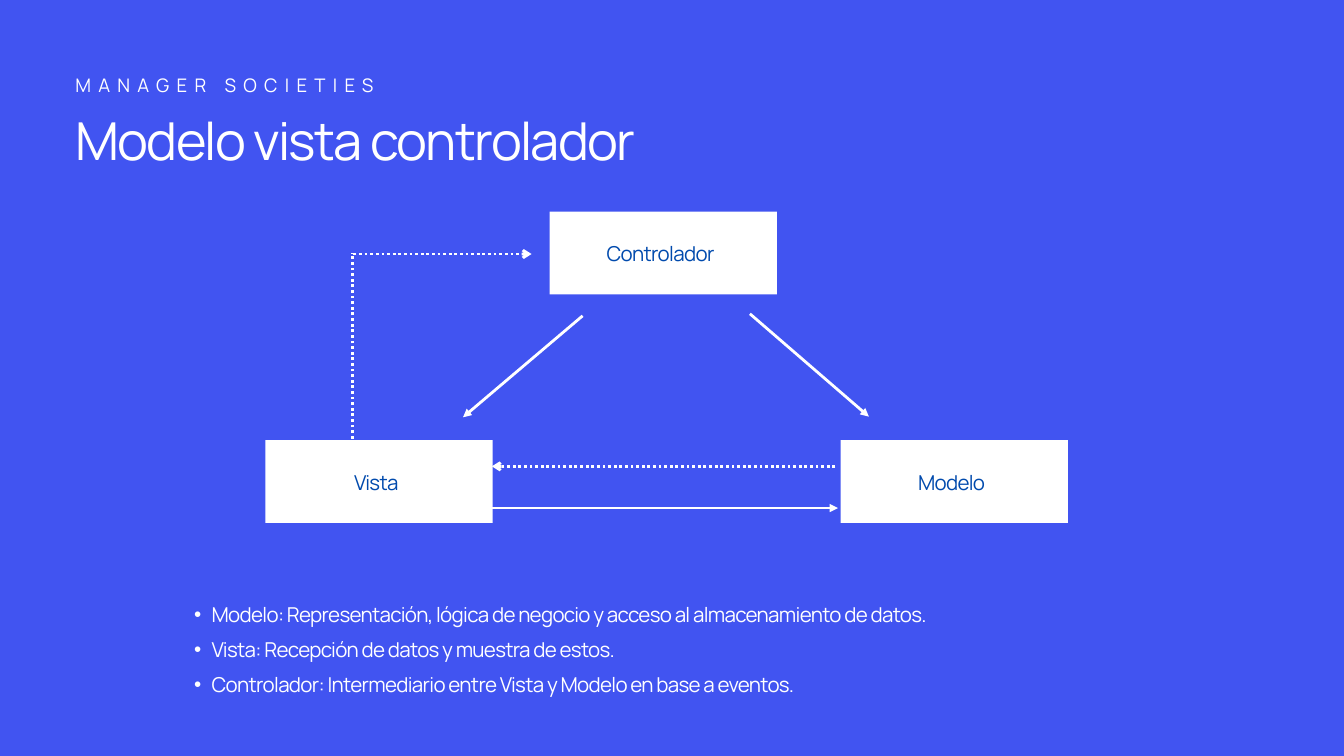
from lxml.etree import SubElement
from pptx import Presentation
from pptx.dml.color import RGBColor
from pptx.enum.dml import MSO_LINE
from pptx.enum.shapes import MSO_CONNECTOR, MSO_SHAPE
from pptx.enum.text import MSO_AUTO_SIZE, PP_ALIGN
from pptx.oxml.ns import qn
from pptx.util import Inches, Pt

BACKGROUND = RGBColor(0x41, 0x54, 0xF1)
WHITE = RGBColor(0xFF, 0xFF, 0xFF)
LABEL_BLUE = RGBColor(0x00, 0x4A, 0xAD)
COLUMNS, ROWS = 20, 11.25
BOX_WIDTH, BOX_HEIGHT = 3.38, 1.23
LABEL_LEFT, LABEL_TOP, LABEL_HEIGHT = -0.04, 0.38, 0.43


def write_paragraph(paragraph, text, *, size, line, spacing, color=WHITE,
                    align=None, bullet=False):
    paragraph.line_spacing = Pt(line)
    paragraph.alignment = align
    if bullet:
        paragraph.level = 1
        properties = paragraph._p.get_or_add_pPr()
        properties.set("marL", str(Inches(0.52)))
        properties.set("indent", str(Inches(-0.26)))
        SubElement(properties, qn("a:buFont")).set("typeface", "Arial")
        SubElement(properties, qn("a:buChar")).set("char", "•")
    run = paragraph.add_run()
    run.text = text
    run.font.name = "Manrope"
    run.font.size = Pt(size)
    run.font.color.rgb = color
    run.font._element.set("spc", str(round(spacing * 100)))


class SlideBuilder:
    def __init__(self, presentation):
        self.column = presentation.slide_width / COLUMNS
        self.row = presentation.slide_height / ROWS
        self.slide = presentation.slides.add_slide(presentation.slide_layouts[6])
        fill = self.slide.background.fill
        fill.solid()
        fill.fore_color.rgb = BACKGROUND

    def place(self, x, y):
        return round(x * self.column), round(y * self.row)

    def text(self, left, top, width, height, lines, **style):
        shape = self.slide.shapes.add_textbox(*self.place(left, top),
                                              *self.place(width, height))
        frame = shape.text_frame
        frame.word_wrap = True
        frame.auto_size = MSO_AUTO_SIZE.SHAPE_TO_FIT_TEXT
        frame.margin_left = frame.margin_right = 0
        frame.margin_top = frame.margin_bottom = 0
        for index, line in enumerate(lines):
            paragraph = frame.add_paragraph() if index else frame.paragraphs[0]
            write_paragraph(paragraph, line, **style)

    def box(self, left, top):
        shape = self.slide.shapes.add_shape(
            MSO_SHAPE.RECTANGLE, *self.place(left, top),
            *self.place(BOX_WIDTH, BOX_HEIGHT))
        shape.shadow.inherit = False
        shape.fill.solid()
        shape.fill.fore_color.rgb = WHITE
        shape.line.fill.background()

    def label(self, left, top, name):
        self.text(left + LABEL_LEFT, top + LABEL_TOP, BOX_WIDTH, LABEL_HEIGHT,
                  [name], size=22, line=30.8, spacing=-0.7,
                  color=LABEL_BLUE, align=PP_ALIGN.CENTER)

    def connector(self, start, end, head=None, dotted=False):
        connector = self.slide.shapes.add_connector(
            MSO_CONNECTOR.STRAIGHT, *self.place(*start), *self.place(*end))
        connector.line.color.rgb = WHITE
        connector.line.width = Pt(3)
        if dotted:
            connector.line.dash_style = MSO_LINE.ROUND_DOT
        if head:
            outline = connector.line._get_or_add_ln()
            SubElement(outline, qn("a:tailEnd")).set("type", head)
        SubElement(connector._element.spPr, qn("a:effectLst"))


def main():
    presentation = Presentation()
    presentation.slide_width = Inches(20)
    presentation.slide_height = Inches(11.25)
    builder = SlideBuilder(presentation)

    builder.text(1.12, 1.61, 10.92, 0.99, ["Modelo vista controlador"],
                 size=56, line=67.2, spacing=-1.8)
    builder.text(1.12, 1.1, 7.05, 0.34, ["MANAGER SOCIETIES"],
                 size=20, line=24, spacing=7.8, align=PP_ALIGN.JUSTIFY)
    builder.text(2.63, 8.81, 15.52, 1.51, [
        "Modelo: Representación, lógica de negocio y acceso al almacenamiento de datos.",
        "Vista: Recepción de datos y muestra de estos.",
        "Controlador: Intermediario entre Vista y Modelo en base a eventos.",
    ], size=22, line=37.4, spacing=-0.7, bullet=True)

    components = {
        "Controlador": (8.18, 3.15),
        "Vista": (3.95, 6.55),
        "Modelo": (12.51, 6.55),
    }
    for position in components.values():
        builder.box(*position)

    builder.connector((5.26, 3.78), (7.91, 3.78), "arrow", dotted=True)
    builder.connector((5.24, 7.78), (5.24, 3.76), dotted=True)
    builder.connector((12.43, 6.94), (7.32, 6.94), "arrow", dotted=True)
    builder.connector((6.87, 7.56), (12.47, 7.56), "triangle")
    builder.connector((8.67, 4.7), (6.89, 6.21), "triangle")
    builder.connector((11.16, 4.67), (12.93, 6.2), "triangle")

    for name, position in components.items():
        builder.label(*position, name)

    presentation.save("out.pptx")


if __name__ == "__main__":
    main()
